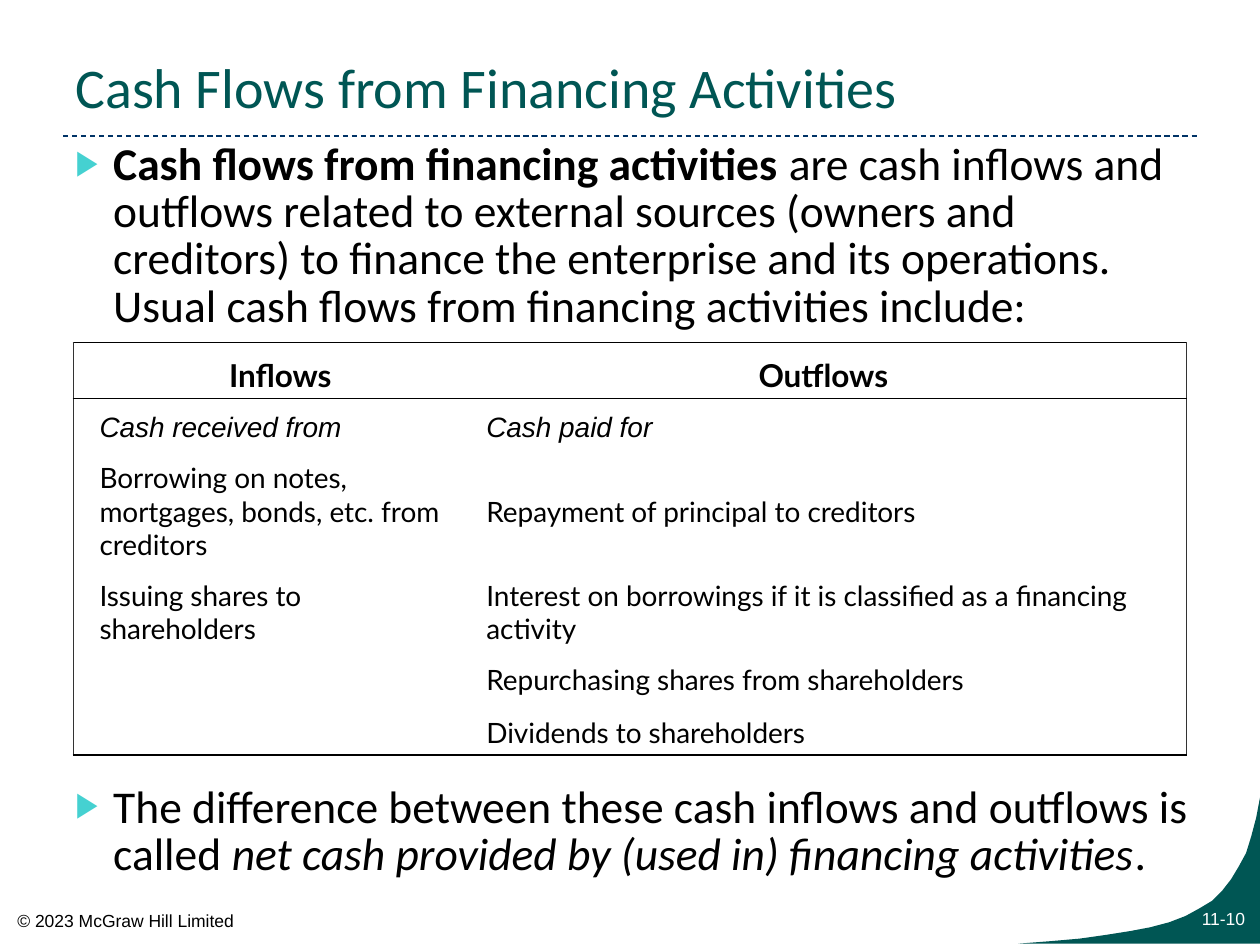
from typing import NamedTuple

from lxml.etree import SubElement
from pptx import Presentation
from pptx.dml.color import RGBColor
from pptx.enum.dml import MSO_LINE_DASH_STYLE as Dash
from pptx.enum.shapes import MSO_CONNECTOR as Connector
from pptx.enum.text import MSO_ANCHOR as Anchor, PP_ALIGN as Align
from pptx.oxml import parse_xml
from pptx.oxml.ns import nsdecls, qn
from pptx.util import Inches, Pt

COLORS = {
    "teal": "005654",
    "navy": "003366",
    "bullet": "45D1D1",
    "black": "000000",
    "edge": "333333",
    "white": "FFFFFF",
}


class Span(NamedTuple):
    text: str
    bold: bool = False
    italic: bool = False


class Label(NamedTuple):
    text: str
    left: float
    top: float
    width: float
    height: float
    size: int
    font: str
    color: str
    align: Align = Align.LEFT
    anchor: Anchor = Anchor.TOP


class Bullet(NamedTuple):
    top: float
    height: float
    spans: list[Span]


LABELS = [
    Label("Cash Flows from Financing Activities", 0.5, 0.33, 9, 0.67,
          32, "Calibri", "teal", anchor=Anchor.BOTTOM),
    Label("11-10", 9, 7.16, 0.98, 0.27, 10, "Arial", "white", Align.RIGHT),
    Label("© 2023 McGraw Hill Limited", 0.04, 7.17, 1.94, 0.27,
          10, "Arial", "black"),
]

BULLETS = [
    Bullet(1.08, 1.6, [
        Span("Cash flows from financing activities", bold=True),
        Span(" are cash inflows and outflows related to external sources "
             "(owners and creditors) to finance the enterprise and its "
             "operations. Usual cash flows from financing activities include:"),
    ]),
    Bullet(6.18, 0.85, [
        Span("The difference between these cash inflows and outflows is called "),
        Span("net cash provided by (used in) financing activities", italic=True),
        Span("."),
    ]),
]

CASH_FLOWS = [
    ("Inflows", "Outflows"),
    ("Cash received from", "Cash paid for"),
    ("Borrowing on notes, mortgages, bonds, etc. from creditors",
     "Repayment of principal to creditors"),
    ("Issuing shares to shareholders",
     "Interest on borrowings if it is classified as a financing activity"),
    ("", "Repurchasing shares from shareholders"),
    ("", "Dividends to shareholders"),
]
COLUMN_WIDTHS = [3.18, 5.66]
ROW_HEIGHTS = [0.44, 0.4, 0.92, 0.66, 0.42, 0.42]

CORNER = [
    (10, 6.33), (10, 7.49), (8.08, 7.49), (8.34, 7.47), (8.57, 7.45),
    (8.78, 7.42), (8.97, 7.39), (9.13, 7.36), (9.28, 7.32), (9.41, 7.27),
    (9.52, 7.21), (9.62, 7.15), (9.7, 7.07), (9.77, 6.98), (9.83, 6.88),
    (9.89, 6.77), (9.93, 6.64), (9.97, 6.49),
]


def rgb(color: str) -> RGBColor:
    return RGBColor.from_string(COLORS[color])


def style(font, name: str, size: int, color: str = "black",
          bold: bool = False, italic: bool = False) -> None:
    font.name, font.size = name, Pt(size)
    font.bold, font.italic = bold, italic
    font.color.rgb = rgb(color)


def add_box(page, left: float, top: float, width: float, height: float):
    box = page.shapes.add_textbox(
        Inches(left), Inches(top), Inches(width), Inches(height))
    box.text_frame.word_wrap = True
    return box


def draw_label(page, label: Label) -> None:
    frame = add_box(page, label.left, label.top,
                    label.width, label.height).text_frame
    frame.vertical_anchor = label.anchor
    frame.text = label.text
    para = frame.paragraphs[0]
    para.alignment = label.align
    style(para.runs[0].font, label.font, label.size, label.color)


def draw_bullet(page, bullet: Bullet) -> None:
    box = add_box(page, 0.5, bullet.top, 9.08, bullet.height)
    para = box.text_frame.paragraphs[0]
    properties = para._p.get_or_add_pPr()
    properties.set("marL", str(Inches(0.3)))
    properties.set("indent", str(-Inches(0.3)))
    bullet_color = SubElement(properties, qn("a:buClr"))
    SubElement(bullet_color, qn("a:srgbClr"), val=COLORS["bullet"])
    SubElement(properties, qn("a:buSzPct"), val="76000")
    SubElement(properties, qn("a:buFont"), typeface="Arial")
    SubElement(properties, qn("a:buChar"), char="▶")
    para.line_spacing = Pt(27)
    for span in bullet.spans:
        run = para.add_run()
        run.text = span.text
        style(run.font, "Calibri", 26, bold=span.bold, italic=span.italic)


def set_borders(cell, borders: dict[str, str]) -> None:
    properties = cell._tc.get_or_add_tcPr()
    for index, side in enumerate("LRTB"):
        paint = "<a:noFill/>"
        if side in borders:
            paint = (f'<a:solidFill><a:srgbClr val="{COLORS[borders[side]]}"/>'
                     "</a:solidFill>")
        properties.insert(index, parse_xml(
            f'<a:ln{side} {nsdecls("a")} w="{Pt(0.75)}">{paint}</a:ln{side}>'))


def draw_cell(cell, text: str, row: int, column: int) -> None:
    cell.text = text
    cell.vertical_anchor = Anchor.MIDDLE
    cell.margin_left = Inches(0.1 if column else 0.21)
    cell.margin_right = Inches(0.21 if column else 0.1)
    cell.margin_top, cell.margin_bottom = Inches(0.1), Inches(0.03)
    cell.fill.solid()
    cell.fill.fore_color.rgb = rgb("white")
    borders = {"R" if column else "L": "edge"}
    if row < 2:
        borders["T"] = "black"
    if row in (0, len(CASH_FLOWS) - 1):
        borders["B"] = "black"
    set_borders(cell, borders)
    para = cell.text_frame.paragraphs[0]
    para.alignment = Align.LEFT if row else Align.CENTER
    style(para.font, "Lato", 16)
    for run in para.runs:
        style(run.font, "Arial" if row == 1 else "Lato", 16 if row else 18,
              bold=row == 0, italic=row == 1)


def draw_table(page) -> None:
    table = page.shapes.add_table(
        len(ROW_HEIGHTS), len(COLUMN_WIDTHS), Inches(0.58), Inches(2.72),
        Inches(sum(COLUMN_WIDTHS)), Inches(sum(ROW_HEIGHTS))).table
    table.first_row = table.horz_banding = False
    for column, width in zip(table.columns, COLUMN_WIDTHS):
        column.width = Inches(width)
    for row, height in zip(table.rows, ROW_HEIGHTS):
        row.height = Inches(height)
    for row, texts in enumerate(CASH_FLOWS):
        for column, text in enumerate(texts):
            draw_cell(table.cell(row, column), text, row, column)


def draw_frame(page) -> None:
    rule = page.shapes.add_connector(
        Connector.STRAIGHT, Inches(0.5), Inches(1.08), Inches(9.5), Inches(1.08))
    rule.line.color.rgb = rgb("navy")
    rule.line.width = Pt(0.75)
    rule.line.dash_style = Dash.DASH
    SubElement(rule._element.spPr, qn("a:effectLst"))

    start, *points = [(Inches(x), Inches(y)) for x, y in CORNER]
    builder = page.shapes.build_freeform(*start)
    builder.add_line_segments(points, close=True)
    corner = builder.convert_to_shape()
    corner.shadow.inherit = False
    corner.fill.solid()
    corner.fill.fore_color.rgb = rgb("teal")
    corner.line.fill.background()


def main() -> None:
    deck = Presentation()
    deck.slide_width, deck.slide_height = Inches(10), Inches(7.5)
    page = deck.slides.add_slide(deck.slide_layouts[6])
    draw_frame(page)
    for label in LABELS:
        draw_label(page, label)
    for bullet in BULLETS:
        draw_bullet(page, bullet)
    draw_table(page)
    deck.save("out.pptx")


if __name__ == "__main__":
    main()
